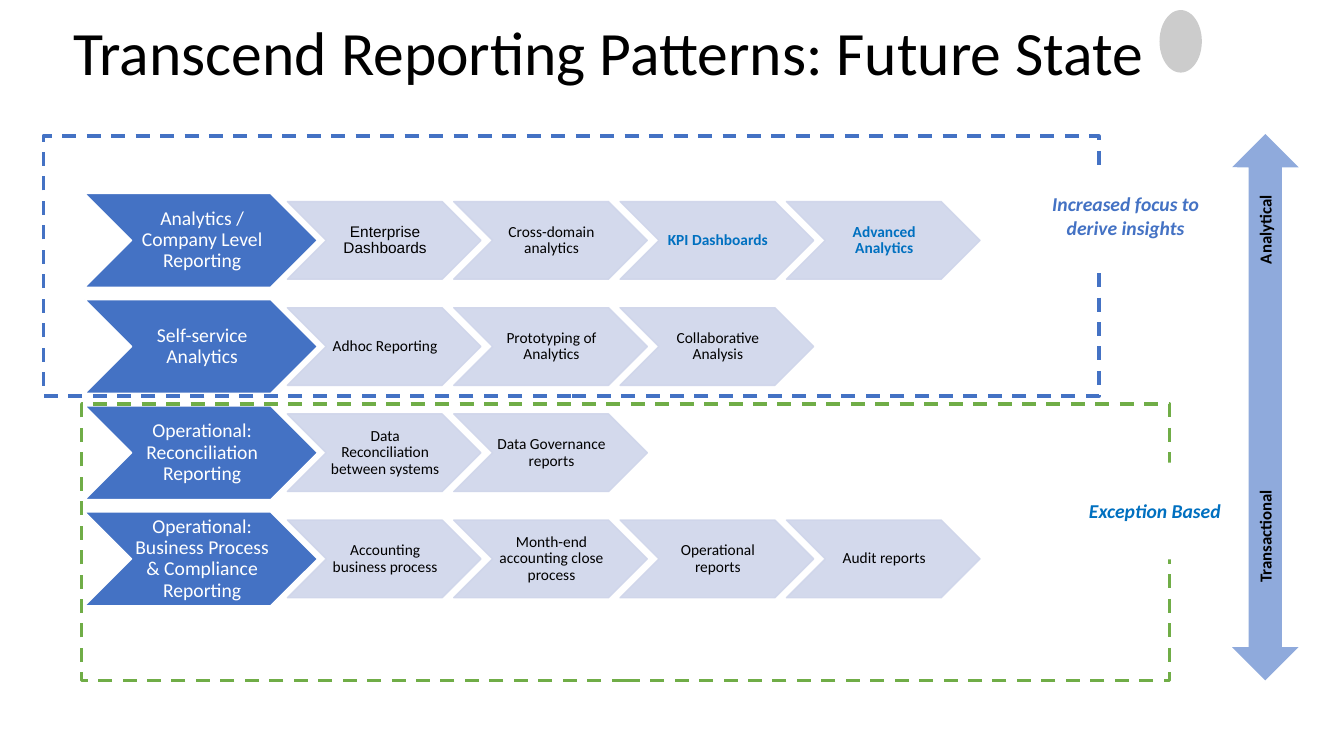
import pptx
import pptx.dml.color
import pptx.enum.dml
import pptx.enum.shapes
import pptx.enum.text
import pptx.oxml
import pptx.oxml.ns
import pptx.util

Inches = pptx.util.Inches
Pt = pptx.util.Pt
SHAPES = pptx.enum.shapes.MSO_SHAPE
ALIGN = pptx.enum.text.PP_ALIGN

BLUE = "4472C4"
PALE = "CFD5EA"
ACCENT = "0070C0"
BLACK = "000000"
WHITE = "FFFFFF"

FIRST_ROW_CENTER = 2.385
ROW_PITCH = 3.16 / 3
STEP_LEFT = 2.85
STEP_PITCH = 1.65

ROWS = [
    ("Analytics / Company Level Reporting",
     ["Enterprise Dashboards", "Cross-domain analytics",
      "KPI Dashboards", "Advanced Analytics"]),
    ("Self-service Analytics",
     ["Adhoc Reporting", "Prototyping of Analytics", "Collaborative Analysis"]),
    ("Operational: Reconciliation Reporting",
     ["Data Reconciliation between systems", "Data Governance reports"]),
    ("Operational: Business Process & Compliance Reporting",
     ["Accounting business process", "Month-end accounting close process",
      "Operational reports", "Audit reports"]),
]
STEP_FORMATS = {
    "Enterprise Dashboards": {"name": "Arial"},
    "KPI Dashboards": {"bold": True, "color": ACCENT},
    "Advanced Analytics": {"bold": True, "color": ACCENT},
}


def rgb(color):
    return pptx.dml.color.RGBColor.from_string(color)


def apply_format(target, values):
    for name, value in values.items():
        setattr(target, name, value)


def write_text(shape, text, size, color, insets=(0.02, 0.01, 0, 0.01),
               align=ALIGN.CENTER, spacing=1.0, **font_values):
    left, top, right, bottom = insets
    frame = shape.text_frame
    apply_format(frame, {
        "word_wrap": True,
        "vertical_anchor": pptx.enum.text.MSO_ANCHOR.MIDDLE,
        "margin_left": Inches(left),
        "margin_top": Inches(top),
        "margin_right": Inches(right),
        "margin_bottom": Inches(bottom),
    })
    paragraph = frame.paragraphs[0]
    apply_format(paragraph, {"alignment": align, "line_spacing": spacing})
    run = paragraph.add_run()
    run.text = text
    apply_format(run.font, {"name": "Calibri", "size": Pt(size), **font_values})
    run.font.color.rgb = rgb(color)


def add_text(slide, box, text, size, color, **values):
    shape = slide.shapes.add_textbox(*map(Inches, box))
    write_text(shape, text, size, color, **values)
    return shape


def add_shape(slide, kind, box, fill=None, line=None, width=1):
    shape = slide.shapes.add_shape(kind, *map(Inches, box))
    shape.shadow.inherit = False
    if fill:
        shape.fill.solid()
        shape.fill.fore_color.rgb = rgb(fill)
    else:
        shape.fill.background()
    if line:
        shape.line.color.rgb = rgb(line)
        shape.line.width = Pt(width)
    else:
        shape.line.fill.background()
    return shape


def add_chevron(slide, left, center, width, height, fill, line):
    box = (left, center - height / 2, width, height)
    return add_shape(slide, SHAPES.CHEVRON, box, fill, line)


def make_translucent(shape, percent):
    for color in shape._element.spPr.iter(pptx.oxml.ns.qn("a:srgbClr")):
        alpha = pptx.oxml.parse_xml(
            f'<a:alpha {pptx.oxml.ns.nsdecls("a")} val="{percent * 1000}"/>')
        color.append(alpha)


def add_row(slide, center, heading, steps):
    chevron = add_chevron(slide, 0.84, center, 2.31, 0.93, BLUE, WHITE)
    write_text(chevron, heading, 14, WHITE, spacing=0.9)
    for index, step in enumerate(steps):
        left = STEP_LEFT + index * STEP_PITCH
        chevron = add_chevron(slide, left, center, 1.92, 0.77, PALE, PALE)
        make_translucent(chevron, 90)
        values = {"color": BLACK, **STEP_FORMATS.get(step, {})}
        write_text(chevron, step, 11, spacing=0.9, **values)


def add_dashed_frame(slide, box, color):
    frame = add_shape(slide, SHAPES.RECTANGLE, box, line=color, width=2.5)
    frame.line.dash_style = pptx.enum.dml.MSO_LINE.DASH


def add_callout(slide, left, top, text, color):
    callout = add_shape(slide, SHAPES.RECTANGLE, (left, top, 2.21, 0.96), WHITE)
    write_text(callout, text, 14, color, insets=(0.2,) * 4, bold=True, italic=True)


def add_axis_label(slide, top, height, text):
    label = add_text(slide, (12.38, top, 0.33, height), text, 12, BLACK,
                     insets=(0, 0.2, 0, 0.2), align=ALIGN.LEFT, bold=True)
    label.text_frame._txBody.bodyPr.set("vert", "vert270")


def main():
    presentation = pptx.Presentation()
    presentation.slide_width = Inches(13.33)
    presentation.slide_height = Inches(7.5)
    slide = presentation.slides.add_slide(presentation.slide_layouts[6])

    add_text(slide, (0.63, 0.11, 12.07, 0.89),
             "Transcend Reporting Patterns: Future State", 44, BLACK,
             insets=(0.1, 0.05, 0.1, 0.05), align=ALIGN.LEFT, spacing=0.9)
    for index, (heading, steps) in enumerate(ROWS):
        add_row(slide, FIRST_ROW_CENTER + index * ROW_PITCH, heading, steps)

    add_dashed_frame(slide, (0.81, 4.01, 10.79, 2.74), "70AD47")
    add_callout(slide, 10.35, 4.59, "Exception Based", ACCENT)
    add_shape(slide, SHAPES.UP_DOWN_ARROW, (12.22, 1.33, 0.66, 5.42), "8FAADC")
    add_axis_label(slide, 4.4, 1.58, "Transactional")
    add_axis_label(slide, 1.54, 1.28, "Analytical")
    add_dashed_frame(slide, (0.43, 1.35, 10.47, 2.58), BLUE)
    add_callout(slide, 10.06, 1.66, "Increased focus to derive insights", BLUE)
    add_shape(slide, SHAPES.FLOWCHART_CONNECTOR, (11.5, 0.1, 0.42, 0.62), "CCCCCC")

    presentation.save("out.pptx")


if __name__ == "__main__":
    main()
